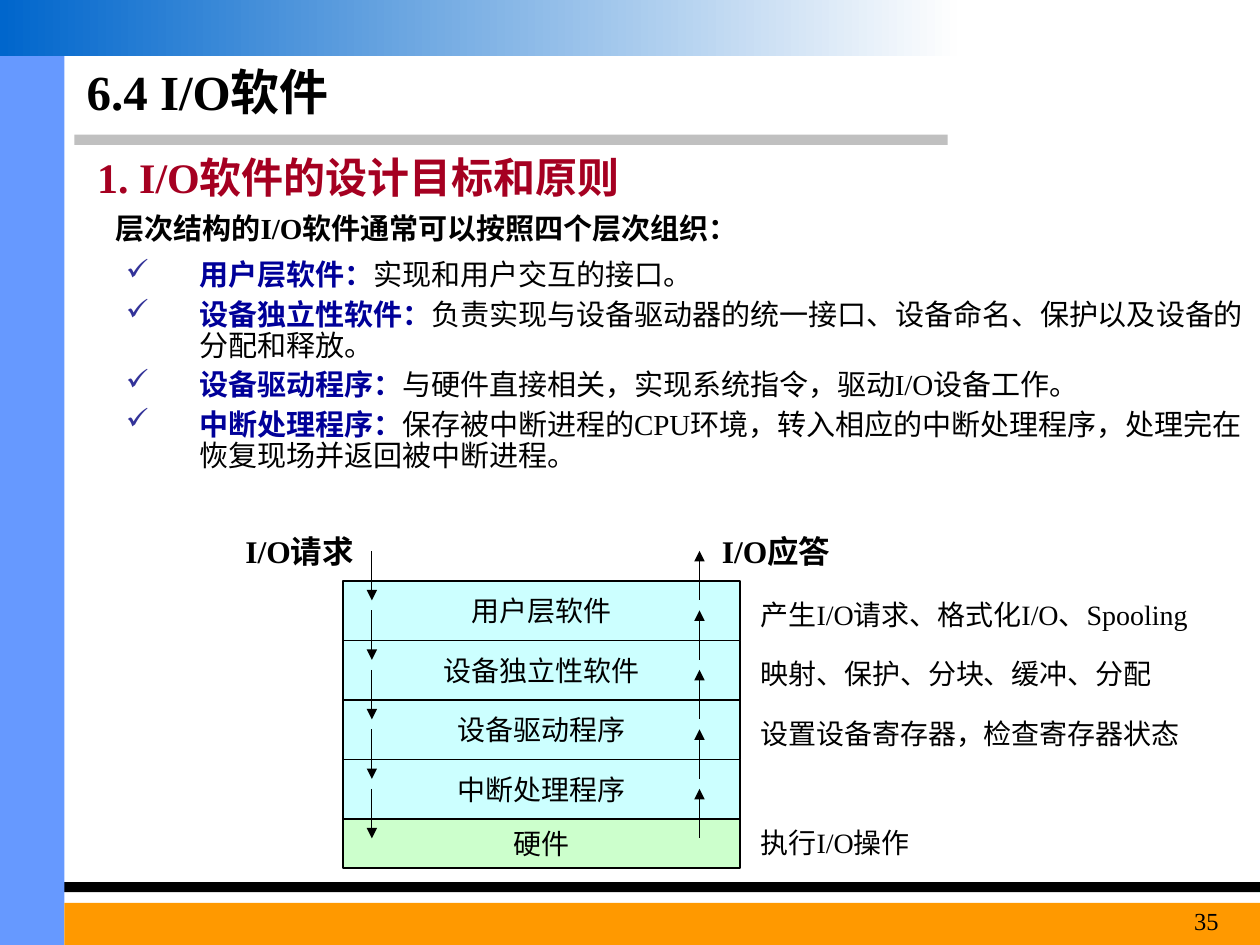
import pptx
import pptx.dml.color
import pptx.enum.shapes
import pptx.enum.text
import pptx.oxml
import pptx.oxml.ns
import pptx.util

Pt = pptx.util.Pt
ALIGN = pptx.enum.text.PP_ALIGN
ANCHOR = pptx.enum.text.MSO_ANCHOR
RECTANGLE = pptx.enum.shapes.MSO_SHAPE.RECTANGLE
STRAIGHT = pptx.enum.shapes.MSO_CONNECTOR.STRAIGHT

FONT = "Times New Roman"
BLACK, NAVY = "000000", "000099"

BULLETS = [
    ("用户层软件：", "实现和用户交互的接口。"),
    ("设备独立性软件：", "负责实现与设备驱动器的统一接口、设备命名、保护以及设备的分配和释放。"),
    ("设备驱动程序：", "与硬件直接相关，实现系统指令，驱动I/O设备工作。"),
    ("中断处理程序：", "保存被中断进程的CPU环境，转入相应的中断处理程序，处理完在恢复现场并返回被中断进程。"),
]

# Layer name, fill, height, note, note offset from the layer's top
LAYERS = [
    ("用户层软件", "CCFFFF", 34, "产生I/O请求、格式化I/O、Spooling", 5.7),
    ("设备独立性软件", "CCFFFF", 34, "映射、保护、分块、缓冲、分配", 5.7),
    ("设备驱动程序", "CCFFFF", 34, "设置设备寄存器，检查寄存器状态", 5.7),
    ("中断处理程序", "CCFFFF", 34, None, 0),
    ("硬件", "CCFFCC", 28, "执行I/O操作", 0),
]
STACK_LEFT, STACK_TOP, STACK_WIDTH, LAYER_STEP = 196, 332, 227, 34


def color(value):
    return pptx.dml.color.RGBColor.from_string(value)


def add_element(parent, tag, **attributes):
    element = pptx.oxml.parse_xml(f"<{tag} {pptx.oxml.ns.nsdecls('a')}/>")
    for name, value in attributes.items():
        element.set(name, value)
    parent.append(element)
    return element


def add_span(para, text, size, fill=BLACK, bold=False):
    span = para.add_run()
    span.text = text
    for name, value in {"name": FONT, "size": Pt(size), "bold": bold}.items():
        setattr(span.font, name, value)
    span.font.color.rgb = color(fill)


def add_box(page, left, top, width, height, **frame_format):
    box = page.shapes.add_textbox(Pt(left), Pt(top), Pt(width), Pt(height))
    for name, value in {"word_wrap": True, **frame_format}.items():
        setattr(box.text_frame, name, value)
    return box.text_frame


def add_label(page, place, text, size, fill=BLACK, bold=False, anchor=ANCHOR.TOP, **para_format):
    para = add_box(page, *place, vertical_anchor=anchor).paragraphs[0]
    for name, value in para_format.items():
        setattr(para, name, value)
    add_span(para, text, size, fill, bold)


def add_rectangle(page, left, top, width, height, fill):
    box = page.shapes.add_shape(RECTANGLE, Pt(left), Pt(top), Pt(width), Pt(height))
    box.shadow.inherit = False
    box.fill.solid()
    box.fill.fore_color.rgb = color(fill)
    box.line.fill.background()
    return box


def add_layer(page, top, height, text, fill):
    box = add_rectangle(page, STACK_LEFT, top, STACK_WIDTH, height, fill)
    box.line.color.rgb = color(BLACK)
    box.line.width = Pt(0.75)
    box.text_frame.word_wrap = False
    box.text_frame.vertical_anchor = ANCHOR.MIDDLE
    para = box.text_frame.paragraphs[0]
    para.alignment = ALIGN.CENTER
    add_span(para, text, 16)


def add_arrow(page, x, top, length, end):
    arrow = page.shapes.add_connector(STRAIGHT, Pt(x), Pt(top), Pt(x), Pt(top + length))
    arrow.line.color.rgb = color(BLACK)
    arrow.line.width = Pt(0.75)
    add_element(arrow.line._get_or_add_ln(), end, type="triangle")
    add_element(arrow._element.spPr, "a:effectLst")


def add_bullets(page):
    frame = add_box(page, 64.8, 145.5, 655, 147.5)
    for index, (term, meaning) in enumerate(BULLETS):
        para = frame.add_paragraph() if index else frame.paragraphs[0]
        properties = para._p.get_or_add_pPr()
        properties.set("marL", str(Pt(42)))
        properties.set("indent", str(-Pt(42)))
        bullet_color = add_element(properties, "a:buClr")
        add_element(bullet_color, "a:srgbClr", val="333399")
        add_element(properties, "a:buChar", char="✓")
        para.line_spacing = 0.9
        if index:
            para.space_before = Pt(4.5)
        add_span(para, term, 16.6, NAVY, True)
        add_span(para, meaning, 16.6)


def add_frame(page):
    add_rectangle(page, 42.5, 77, 499, 5.8, "C0C0C0")
    add_rectangle(page, 0, 504, 720, 5.8, BLACK)
    add_rectangle(page, 0, 32, 36.8, 508, "6699FF")
    add_rectangle(page, 36.8, 516, 683.2, 24, "FF9900")
    banner = add_rectangle(page, 0, 0, 547, 32, "0066CC")
    banner.fill.gradient()
    banner.fill.gradient_angle = 0
    for stop, value in zip(banner.fill.gradient_stops, ("0066CC", "FEFEFE")):
        stop.color.rgb = color(value)


def add_layer_diagram(page):
    for index, (name, fill, height, note, offset) in enumerate(LAYERS):
        top = STACK_TOP + index * LAYER_STEP
        add_layer(page, top, height, name, fill)
        if note:
            add_label(page, (427.7, top + offset, 283.7, 26.6), note, 16)
    # Requests go down on the left, replies go up on the right
    for x, end in ((212.5, "a:tailEnd"), (399.7, "a:headEnd")):
        for index in range(len(LAYERS)):
            add_arrow(page, x, 314.8 + index * LAYER_STEP, 28.3, end)
    add_label(page, (133.2, 300.4, 91.4, 28.8), "I/O请求", 18, bold=True)
    add_label(page, (405.4, 300.4, 102.2, 28.8), "I/O应答", 18, bold=True)


def main():
    deck = pptx.Presentation()
    deck.slide_width, deck.slide_height = Pt(720), Pt(540)
    page = deck.slides.add_slide(deck.slide_layouts[6])
    add_frame(page)

    # Headings and body text
    add_label(page, (42.5, 32, 493, 39.6), "6.4 I/O软件", 28, bold=True, anchor=ANCHOR.MIDDLE)
    add_label(page, (48.5, 82.8, 339.6, 36), "1. I/O软件的设计目标和原则", 24, "A50021", True)
    add_label(page, (59, 122.4, 613, 22.3), "层次结构的I/O软件通常可以按照四个层次组织：",
              16.6, bold=True, line_spacing=0.7)
    add_bullets(page)

    add_layer_diagram(page)

    # Page number
    add_label(page, (638, 514, 65.5, 26), "35", 14, alignment=ALIGN.RIGHT)
    deck.save("out.pptx")


if __name__ == "__main__":
    main()
